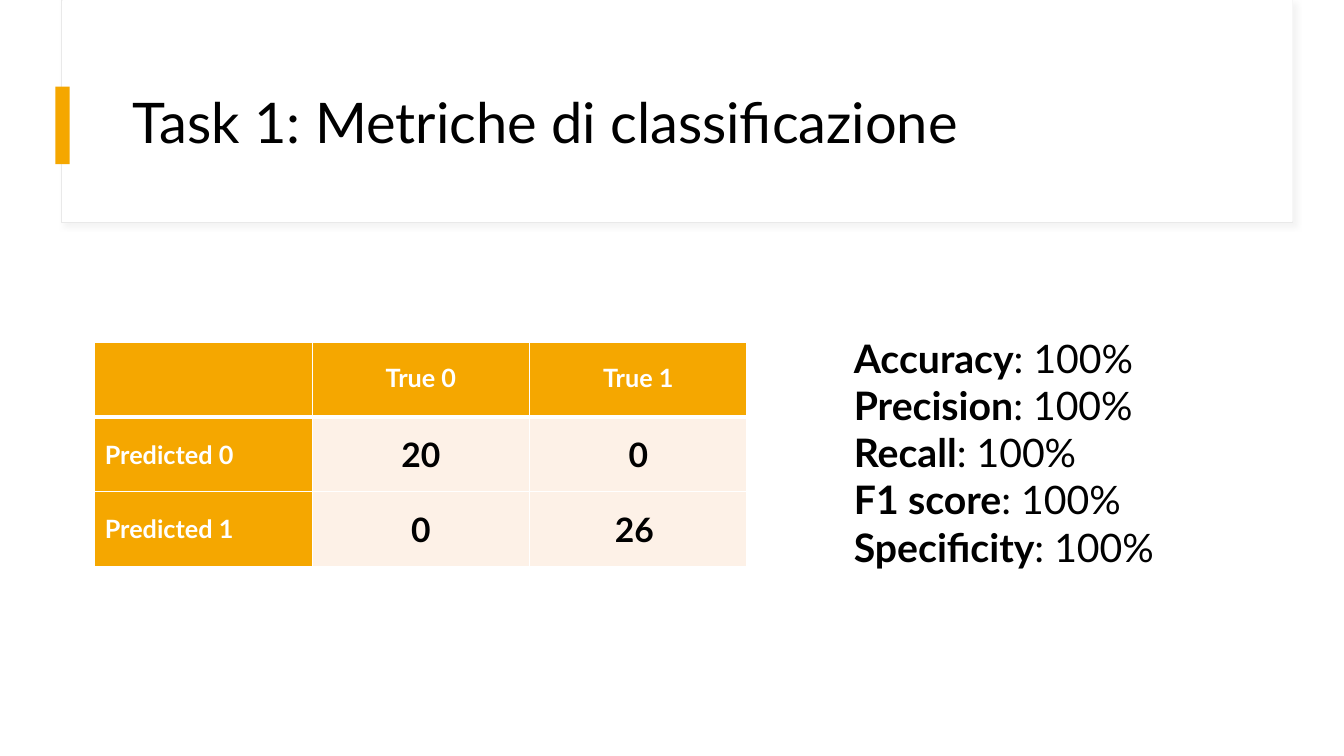
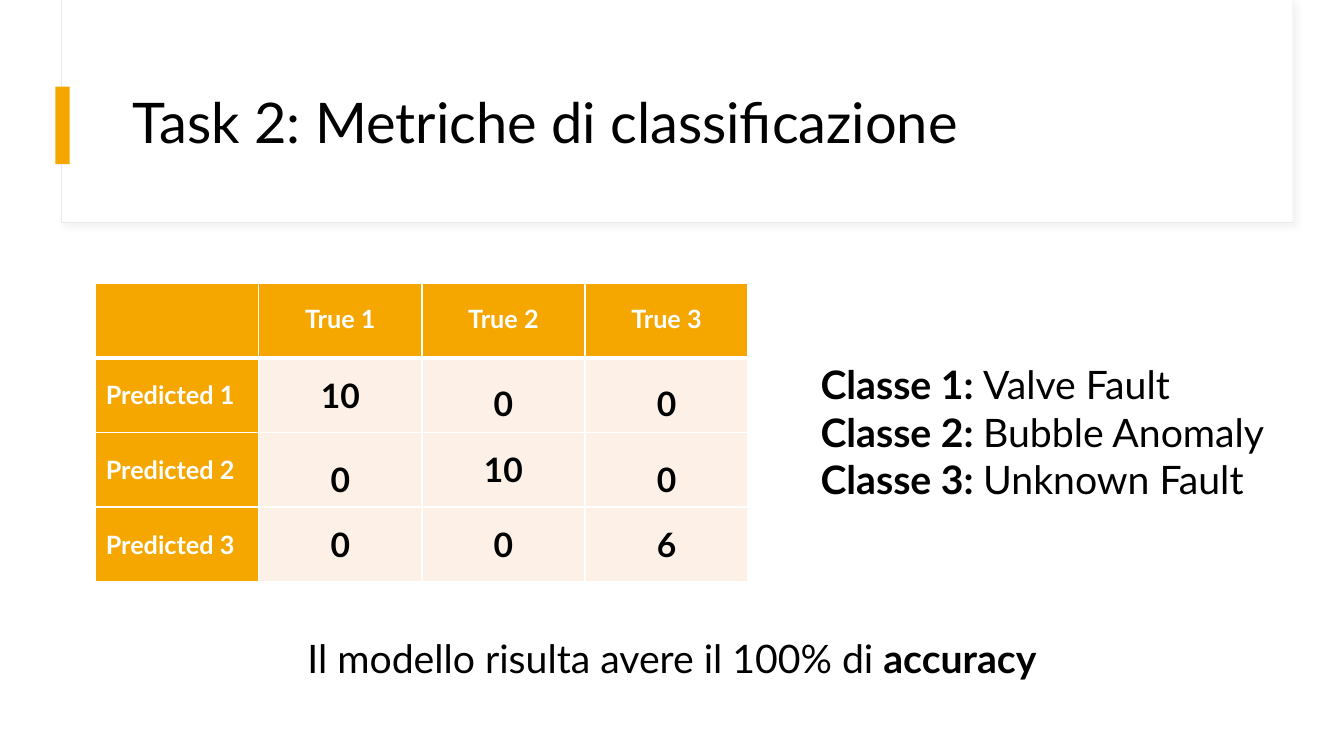
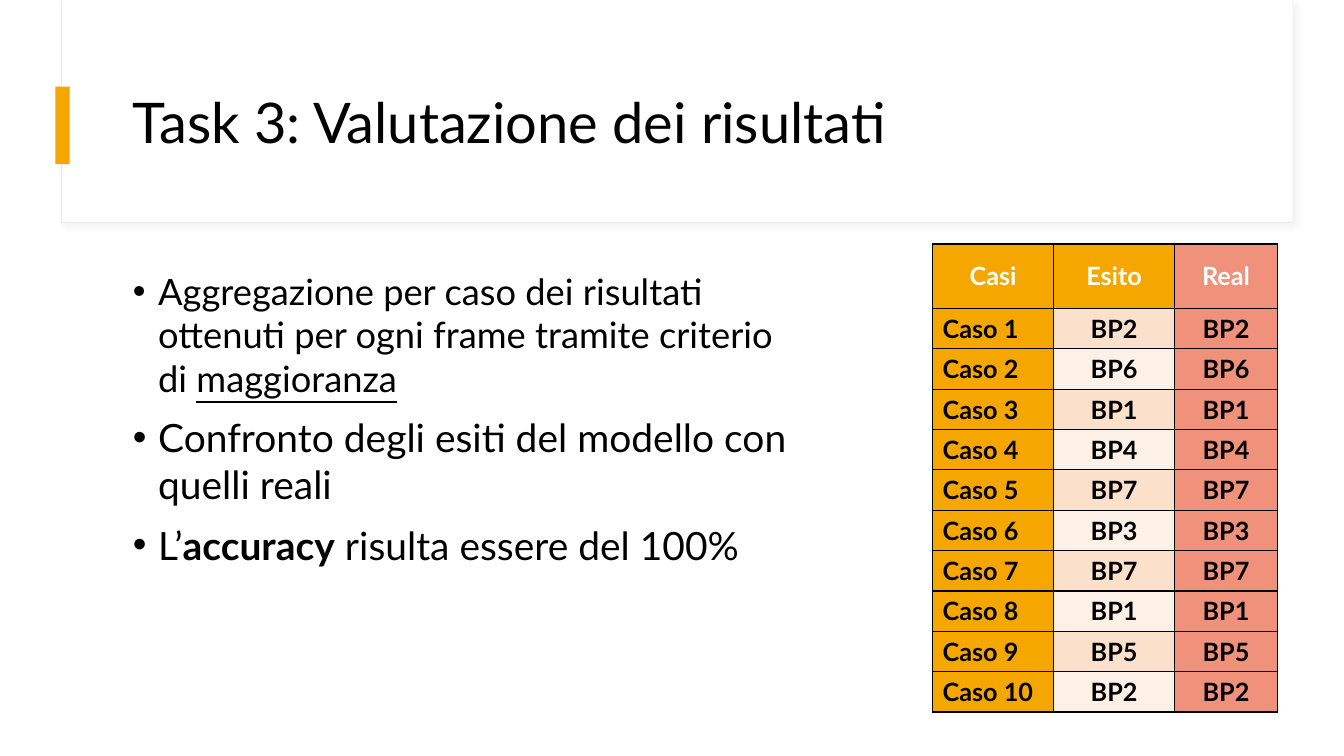
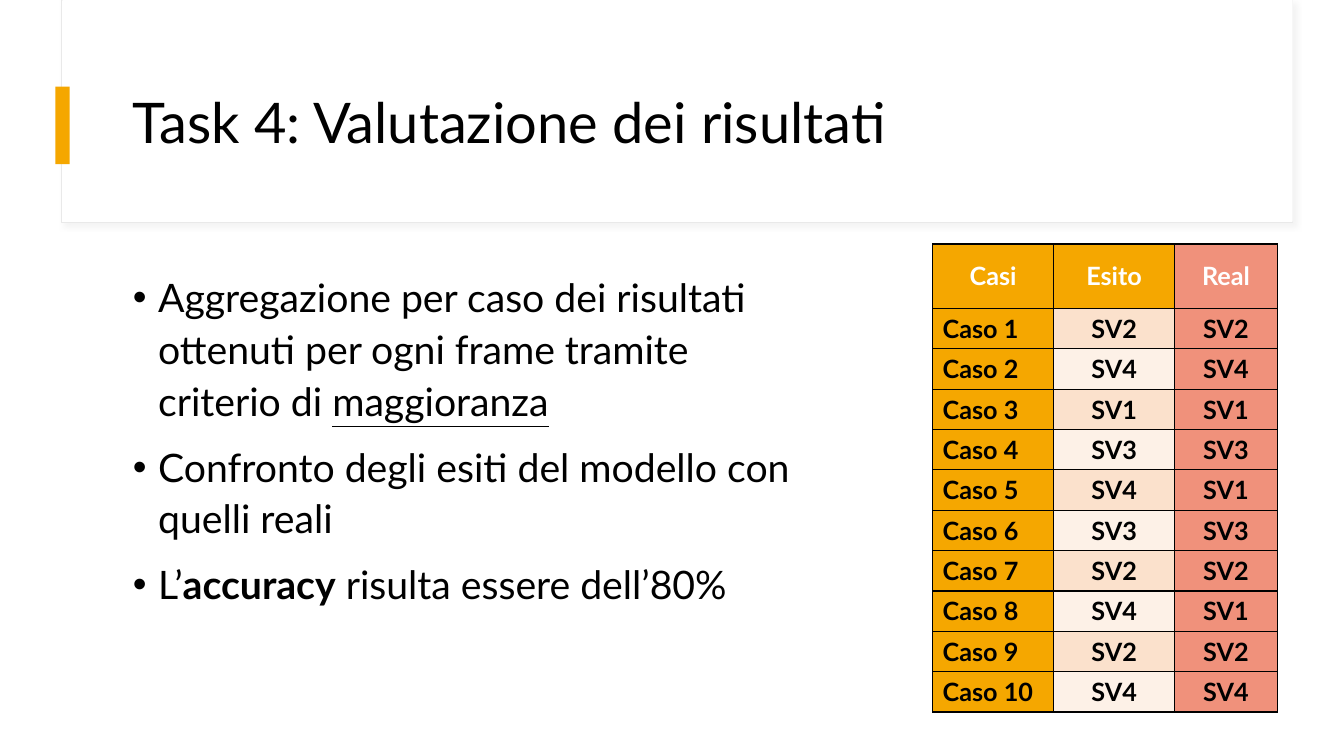
from lxml.etree import SubElement
from pptx import Presentation
from pptx.dml.color import RGBColor
from pptx.enum.shapes import MSO_SHAPE as Shape
from pptx.enum.text import MSO_ANCHOR as Anchor, PP_ALIGN as Align
from pptx.oxml.ns import qn
from pptx.util import Inches, Pt

FONT = "Lato"
WHITE = RGBColor(0xFF, 0xFF, 0xFF)
BLACK = RGBColor(0, 0, 0)
AMBER = RGBColor(0xF5, 0xA7, 0x00)
CORAL = RGBColor(0xF0, 0x91, 0x7B)
PEACH = RGBColor(0xFB, 0xE1, 0xCC)
CREAM = RGBColor(0xFD, 0xF1, 0xE7)
FRAME_GREY = RGBColor(0xE9, 0xE9, 0xE9)
SHADOW_GREY = RGBColor(0xD9, 0xD9, 0xD9)


def add_node(parent, tag, **attributes):
    return SubElement(parent, qn(tag), {key: str(value) for key, value in attributes.items()})


def set_font(paragraph, size, color=BLACK, bold=False):
    font = paragraph.font
    font.name, font.size, font.bold = FONT, Pt(size), bold
    font.color.rgb = color


def add_rect(slide, box, fill, line=None):
    rect = slide.shapes.add_shape(Shape.RECTANGLE, *map(Inches, box))
    rect.shadow.inherit = False
    rect.fill.solid()
    rect.fill.fore_color.rgb = fill
    if line is None:
        rect.line.fill.background()
    else:
        rect.line.color.rgb = line
        rect.line.width = Pt(0.75)
    return rect


def add_soft_shadow(shape):
    effects = shape._element.spPr.find(qn("a:effectLst"))
    shadow = add_node(effects, "a:outerShdw", blurRad=Pt(4), dist=Pt(3),
                      dir=45 * 60000, algn="tl", rotWithShape=0)
    color = add_node(shadow, "a:srgbClr", val=SHADOW_GREY)
    add_node(color, "a:alpha", val=30000)


def add_bullet(paragraph):
    properties = paragraph._p.get_or_add_pPr()
    properties.set("marL", str(Inches(0.25)))
    properties.set("indent", str(-Inches(0.25)))
    add_node(properties, "a:buFont", typeface="Arial")
    add_node(properties, "a:buChar", char="•")


def add_text(slide, box, lines, sizes, align=Align.LEFT, anchor=Anchor.TOP,
             spacing=None, bullets=False):
    frame = slide.shapes.add_textbox(*map(Inches, box)).text_frame
    frame.word_wrap = True
    frame.vertical_anchor = anchor
    for index, (line, size) in enumerate(zip(lines, sizes)):
        paragraph = frame.paragraphs[0] if index == 0 else frame.add_paragraph()
        paragraph.alignment = align
        if bullets:
            add_bullet(paragraph)
            paragraph.space_before = Pt(10)
        if spacing:
            paragraph.line_spacing = spacing
        set_font(paragraph, size)
        for words, style in line:
            run = paragraph.add_run()
            run.text = words
            if style == "bold":
                run.font.bold = True
            elif style == "underline":
                run.font.underline = True


def add_header(slide, title):
    add_soft_shadow(add_rect(slide, (0.61, 0, 12.21, 2.21), WHITE, FRAME_GREY))
    add_rect(slide, (0.62, 0, 12.2, 2.2), WHITE)
    add_rect(slide, (0.55, 0.86, 0.14, 0.77), AMBER)
    add_text(slide, (1.22, 0.6, 11.12, 1.29), [[(title, "")]], [40],
             anchor=Anchor.MIDDLE, spacing=0.9)


def add_grid(slide, left, top, widths, heights):
    table = slide.shapes.add_table(len(heights), len(widths), Inches(left), Inches(top),
                                   Inches(sum(widths)), Inches(sum(heights))).table
    table.first_row = table.horz_banding = False
    for column, width in zip(table.columns, widths):
        column.width = Inches(width)
    for row, height in zip(table.rows, heights):
        row.height = Inches(height)
    return table


def fill_cell(cell, text, size, color, fill, border, align, anchor=Anchor.MIDDLE,
              spacing=None, top=1, bottom=1):
    properties = cell._tc.get_or_add_tcPr()
    for side, width in (("L", 1), ("R", 1), ("T", top), ("B", bottom)):
        edge = add_node(properties, "a:ln" + side, w=Pt(width))
        add_node(add_node(edge, "a:solidFill"), "a:srgbClr", val=border)
    cell.fill.solid()
    cell.fill.fore_color.rgb = fill
    cell.vertical_anchor = anchor
    paragraph = cell.text_frame.paragraphs[0]
    paragraph.alignment = align
    if spacing:
        paragraph.line_spacing = spacing
    set_font(paragraph, size, color, bold=True)
    if text:
        paragraph.add_run().text = text


def add_confusion_matrix(slide, left, top, classes, counts, loose_cells=()):
    rows = [[""] + [f"True {name}" for name in classes]]
    rows += [[f"Predicted {name}"] + line for name, line in zip(classes, counts)]
    size = len(rows)
    table = add_grid(slide, left, top, [6.47 / size] * size, [0.74] * size)
    for r, row in enumerate(rows):
        for c, text in enumerate(row):
            label = r == 0 or c == 0
            loose = r == 0 or (r, c) in loose_cells
            fill_cell(table.cell(r, c), text, 18 if label else 24,
                      WHITE if label else BLACK, AMBER if label else CREAM, WHITE,
                      Align.LEFT if c == 0 else Align.CENTER,
                      Anchor.TOP if loose and r < 2 else Anchor.MIDDLE,
                      1.5 if loose else None,
                      top=3 if r == 1 else 1, bottom=3 if r == 0 else 1)


def add_case_table(slide, left, top, outcomes, actual):
    rows = [("Casi", "Esito", "Real")]
    rows += [(f"Caso {n}", *pair) for n, pair in enumerate(zip(outcomes, actual), 1)]
    table = add_grid(slide, left, top, [1.2, 1.2, 1.02], [0.64] + [0.4] * len(outcomes))
    for r, row in enumerate(rows):
        outcome_fill = AMBER if r == 0 else PEACH if r % 2 else CREAM
        for c, (text, fill) in enumerate(zip(row, (AMBER, outcome_fill, CORAL))):
            fill_cell(table.cell(r, c), text, 18, BLACK if r else WHITE, fill, BLACK,
                      Align.LEFT if r and c == 0 else Align.CENTER)


def add_classification_slide(slide, task, matrix, notes_box, notes):
    add_header(slide, f"Task {task}: Metriche di classificazione")
    add_confusion_matrix(slide, *matrix)
    lines = [[(name, "bold"), (value, "")] for name, value in notes]
    add_text(slide, notes_box, lines, [28] * len(lines))


def add_evaluation_slide(slide, task, accuracy, outcomes, actual, sizes, spacing=None):
    add_header(slide, f"Task {task}: Valutazione dei risultati")
    points = [
        [("Aggregazione per caso dei risultati ottenuti per ogni frame tramite criterio di ", ""),
         ("maggioranza", "underline")],
        [("Confronto degli esiti del modello con quelli reali", "")],
        [("L’", ""), ("accuracy", "bold"), (f" risulta essere {accuracy}", "")],
    ]
    add_text(slide, (1.22, 2.62, 6.91, 3.28), points, sizes, spacing=spacing, bullets=True)
    add_case_table(slide, 9.25, 2.42, outcomes, actual)


def main():
    deck = Presentation()
    deck.slide_width, deck.slide_height = Inches(13.33), Inches(7.5)
    task1, task2, task3, task4 = [deck.slides.add_slide(deck.slide_layouts[6]) for _ in range(4)]

    metrics = ("Accuracy", "Precision", "Recall", "F1 score", "Specificity")
    add_classification_slide(
        task1, 1, (0.94, 3.4, (0, 1), [["20", "0"], ["0", "26 "]]),
        (8.37, 3.27, 4.82, 2.76), [(metric, ": 100%") for metric in metrics])

    faults = ("Valve Fault", "Bubble Anomaly", "Unknown Fault")
    add_classification_slide(
        task2, 2,
        (0.95, 2.81, (1, 2, 3), [["10", "0", "0"], ["0", "10", "0"], ["0", "0", "6"]],
         {(1, 2), (1, 3), (2, 1), (2, 3)}),
        (8.04, 3.53, 4.98, 1.51),
        [(f"Classe {n}: ", fault) for n, fault in enumerate(faults, 1)])
    add_text(task2, (2.28, 6.24, 8.77, 0.57),
             [[("Il modello risulta avere il 100% di ", ""), ("accuracy", "bold")]],
             [28], align=Align.CENTER)

    positions = [f"BP{n}" for n in (2, 6, 1, 4, 7, 3, 7, 1, 5, 2)]
    add_evaluation_slide(task3, 3, "del 100%", positions, positions, (25.9, 27.8, 27.8))

    predicted_valves = [f"SV{n}" for n in (2, 4, 1, 3, 4, 3, 2, 4, 2, 4)]
    actual_valves = [f"SV{n}" for n in (2, 4, 1, 3, 1, 3, 2, 1, 2, 4)]
    add_evaluation_slide(task4, 4, "dell’80%", predicted_valves, actual_valves,
                         (28, 28, 28), spacing=1.1)

    deck.save("out.pptx")


if __name__ == "__main__":
    main()
